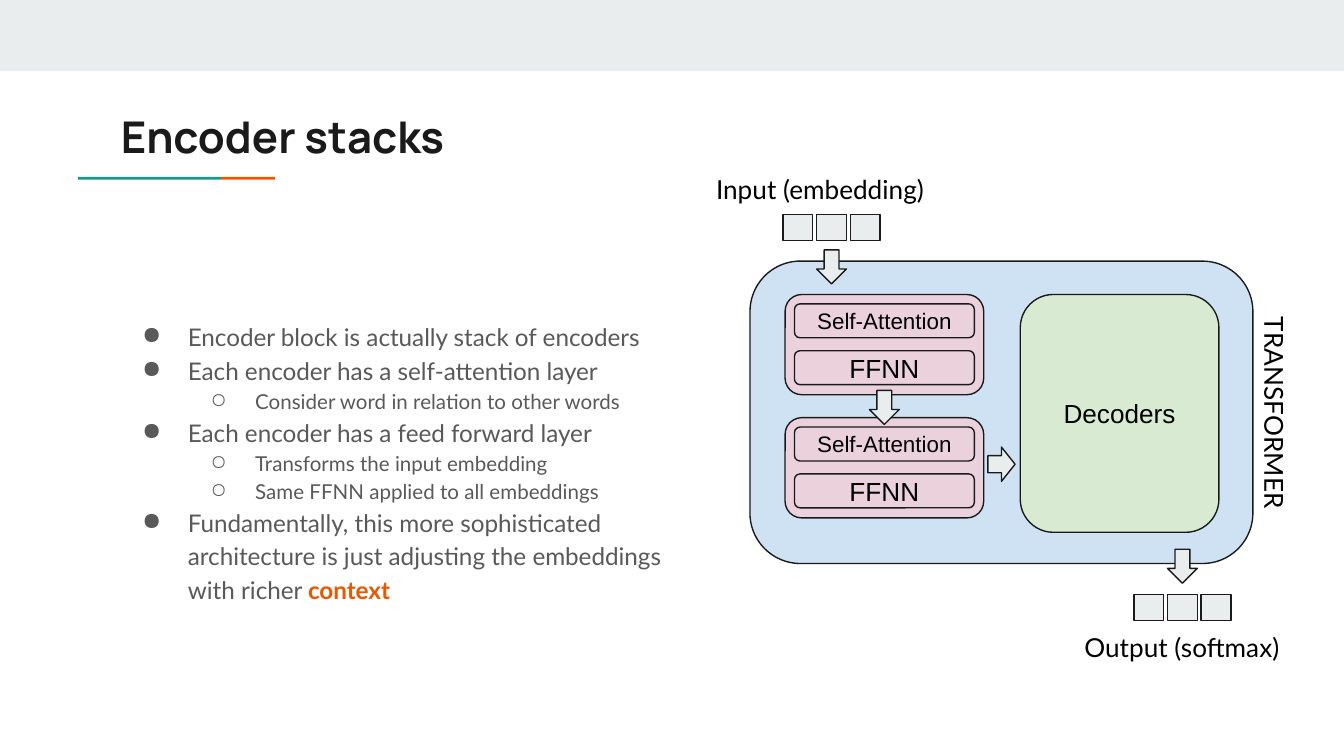
from lxml import etree
from pptx import Presentation
from pptx.dml.color import RGBColor
from pptx.enum.shapes import MSO_SHAPE
from pptx.enum.text import MSO_ANCHOR, PP_ALIGN
from pptx.oxml.ns import qn
from pptx.util import Pt

RECT, ROUND = MSO_SHAPE.RECTANGLE, MSO_SHAPE.ROUNDED_RECTANGLE
DOWN, RIGHT = MSO_SHAPE.DOWN_ARROW, MSO_SHAPE.RIGHT_ARROW
TOP, MIDDLE = MSO_ANCHOR.TOP, MSO_ANCHOR.MIDDLE
LEFT, CENTER = PP_ALIGN.LEFT, PP_ALIGN.CENTER

COLORS = {
    "gray": "E9EDEE", "orange": "EB5600", "teal": "1A9988", "ink": "1A1A1A",
    "text": "595959", "black": "000000", "blue": "CFE2F3", "pink": "EAD1DC",
    "green": "D9EAD3",
}

# Content
TITLE = "Encoder stacks"
POINTS = [  # level, text
    (0, "Encoder block is actually stack of encoders"),
    (0, "Each encoder has a self-attention layer"),
    (1, "Consider word in relation to other words"),
    (0, "Each encoder has a feed forward layer"),
    (1, "Transforms the input embedding"),
    (1, "Same FFNN applied to all embeddings"),
    (0, "Fundamentally, this more sophisticated architecture "
        "is just adjusting the embeddings with richer "),
]
KEY = "context"
LEVELS = [("●", 13, 36, -24.5), ("○", 11, 72, -23.8)]  # mark, size, margin, indent
LAYERS = [("Self-Attention", 12), ("FFNN", 14)]
LABELS = [  # text, left, top, width, align, rotation
    ("Input (embedding)", 376.5, 85.7, 133.2, LEFT, 0),
    ("Output (softmax)", 566.6, 331.2, 133.2, CENTER, 0),
    ("TRANSFORMER", 610.6, 218.9, 144, LEFT, 90),
]
ROWS = [(419.5, 115), (607.5, 318.5)]  # left, top of each row of tokens
ARROWS = [  # shape, left, top, width, height
    (DOWN, 437.5, 133.9, 16, 18.2),
    (RIGHT, 529.2, 239.5, 14.6, 18.4),
    (DOWN, 625.5, 294.3, 16, 18.2),
    (DOWN, 465.8, 209.2, 16, 18.2),
]

prs = Presentation()
prs.slide_width, prs.slide_height = Pt(720), Pt(405)
slide = prs.slides.add_slide(prs.slide_layouts[5])


def color(name):
    return RGBColor.from_string(COLORS[name])


def style(font, face, size, tint, bold=False):
    font.name, font.size, font.bold = face, Pt(size), bold
    font.color.rgb = color(tint)


def frame(shape, anchor=TOP):
    tf = shape.text_frame
    tf.word_wrap, tf.vertical_anchor = True, anchor
    tf.margin_left = tf.margin_right = Pt(7.2)
    tf.margin_top = tf.margin_bottom = Pt(7.2)
    return tf


def write(tf, text, face, size, tint, align=LEFT, bold=False):
    tf.text = text
    para = tf.paragraphs[0]
    para.alignment = align
    style(para.runs[0].font, face, size, tint, bold)


def block(kind, x, y, w, h, fill, line="ink", text="", size=14):
    shape = slide.shapes.add_shape(kind, Pt(x), Pt(y), Pt(w), Pt(h))
    shape.shadow.inherit = False
    shape.fill.solid()
    shape.fill.fore_color.rgb = color(fill)
    if line:
        shape.line.color.rgb = color(line)
        shape.line.width = Pt(0.75)
    else:
        shape.line.fill.background()
    if text:
        write(frame(shape, MIDDLE), text, "Arial", size, "black", CENTER)


def bullet(para, level):
    mark, size, margin, indent = LEVELS[level]
    para.level, para.line_spacing = level, 1.15
    props = para._p.get_or_add_pPr()
    props.set("marL", str(Pt(margin)))
    props.set("indent", str(Pt(indent)))
    tint = etree.SubElement(props, qn("a:buClr"))
    etree.SubElement(tint, qn("a:srgbClr")).set("val", COLORS["text"])
    etree.SubElement(props, qn("a:buChar")).set("char", mark)
    style(para.runs[0].font, "Lato", size, "text")


# Top band and title rule
block(RECT, 0, 0, 720, 38.2, "gray", None)
block(RECT, 118.4, 94.8, 29, 1.5, "orange", None)
block(RECT, 41.8, 94.8, 76.6, 1.5, "teal", None)

# Title
title = slide.shapes.title
title.left, title.top, title.width, title.height = Pt(57.6), Pt(51.8), Pt(605.5), Pt(42.5)
write(frame(title), TITLE, "Manrope", 23.4, "ink", bold=True)

# Bullet list
body = slide.shapes.add_textbox(Pt(57.6), Pt(163.4), Pt(305.3), Pt(177.8))
tf = frame(body)
tf.text = "\n".join(text for _, text in POINTS)
for para, (level, _) in zip(tf.paragraphs, POINTS):
    bullet(para, level)
run = tf.paragraphs[-1].add_run()
run.text = KEY
style(run.font, "Lato", 13, "orange", True)

# Transformer with its decoders
block(ROUND, 401.8, 139.9, 269.4, 162, "blue")
block(ROUND, 546.6, 157.8, 106.4, 127.4, "green", text="Decoders")

# Two encoders, each with two layers
for i in range(2):
    top = 157.8 + i * 66
    block(ROUND, 420.6, top, 106.4, 53.7, "pink")
    for j, (text, size) in enumerate(LAYERS):
        block(ROUND, 425.6, top + 5 + j * 25.1, 96.4, 18.2, "pink", text=text, size=size)

# Token rows
for x, y in ROWS:
    for i in range(3):
        block(RECT, x + i * 18, y, 16, 14, "gray")

# Flow arrows
for arrow in ARROWS:
    block(*arrow, "gray")

# Labels
for text, x, y, w, align, turn in LABELS:
    label = slide.shapes.add_textbox(Pt(x), Pt(y), Pt(w), Pt(31.7))
    label.rotation = turn
    write(frame(label), text, "Lato", 14, "black", align)

prs.save("out.pptx")
